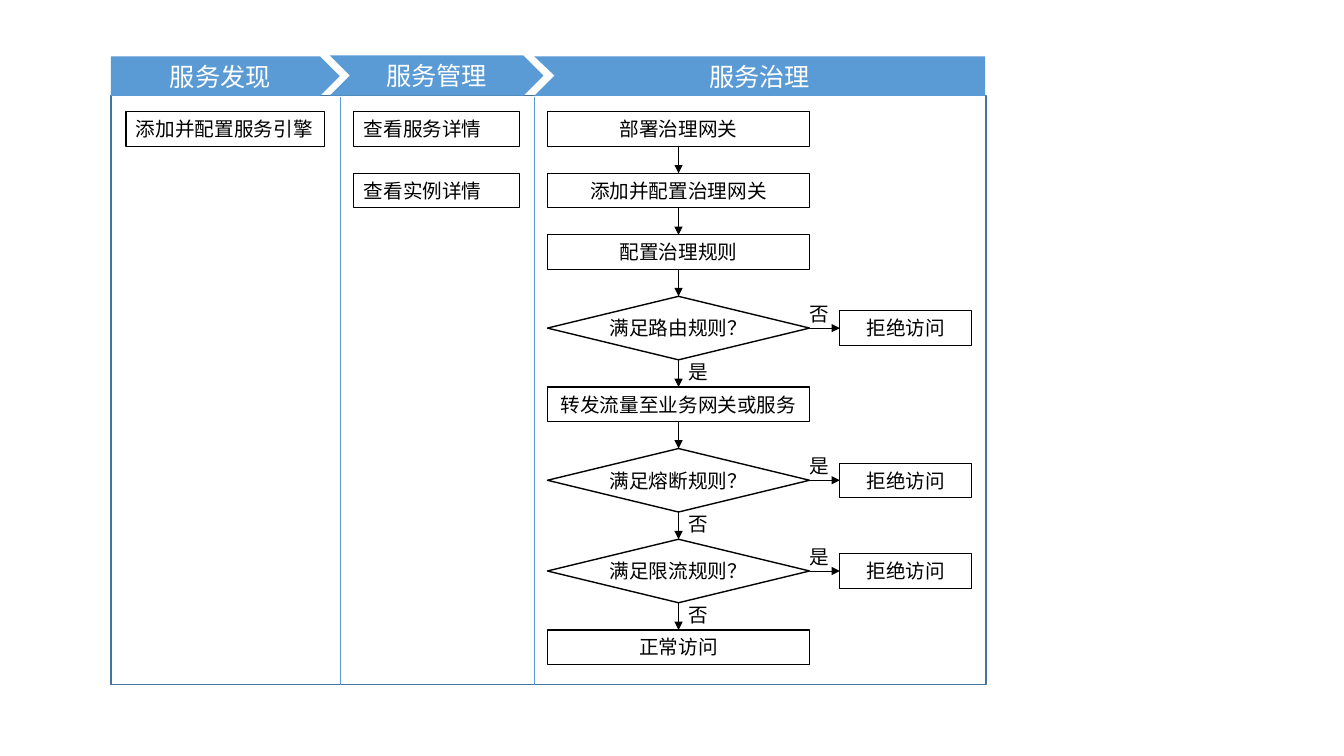
import pptx
import pptx.util
import pptx.dml.color
import pptx.enum.shapes
import pptx.enum.text
import pptx.oxml
import pptx.oxml.ns

Inches = pptx.util.Inches
Pt = pptx.util.Pt
KIND = pptx.enum.shapes.MSO_SHAPE
ALIGN = pptx.enum.text.PP_ALIGN
MIDDLE = pptx.enum.text.MSO_ANCHOR.MIDDLE

COLORS = {"head": "5B9BD5", "frame": "43739E", "ink": "000000", "white": "FFFFFF"}
FLOW_X, FLOW_W = 5.43, 2.6
BOX_H, ASK_H, GAP = 0.34, 0.63, 0.27
DENY_X, DENY_W = 8.33, 1.31

# text, line width, label to the right, label below; labels mark a decision
STEPS = [
    ("部署治理网关", 0.75, None, None),
    ("添加并配置治理网关", 0.75, None, None),
    ("配置治理规则", 0.75, None, None),
    ("满足路由规则？", 1, "否", "是"),
    ("转发流量至业务网关或服务", 1, None, None),
    ("满足熔断规则？", 1, "是", "否"),
    ("满足限流规则？", 1, "是", "否"),
    ("正常访问", 1, None, None),
]


def color(name):
    return pptx.dml.color.RGBColor.from_string(COLORS[name])


def write(shape, text, size=14, ink="ink", align=ALIGN.CENTER, wrap=True):
    frame = shape.text_frame
    left = 0 if align == ALIGN.CENTER else 0.1
    layout = {"word_wrap": wrap, "vertical_anchor": MIDDLE,
              "margin_left": Inches(left), "margin_right": 0,
              "margin_top": 0, "margin_bottom": 0}
    for key, value in layout.items():
        setattr(frame, key, value)
    para = frame.paragraphs[0]
    para.alignment = align
    run = para.add_run()
    run.text = text
    for key, value in {"name": "Arial", "size": Pt(size)}.items():
        setattr(run.font, key, value)
    run.font.color.rgb = color(ink)


def paint(shape, fill=None, line=None, width=0.75):
    shape.shadow.inherit = False
    if fill:
        shape.fill.solid()
        shape.fill.fore_color.rgb = color(fill)
    else:
        shape.fill.background()
    if line:
        shape.line.color.rgb = color(line)
        shape.line.width = Pt(width)
    else:
        shape.line.fill.background()


def add_shape(slide, kind, *area):
    return slide.shapes.add_shape(kind, *map(Inches, area))


def add_box(slide, text, *area, kind=KIND.RECTANGLE, width=0.75, **style):
    shape = add_shape(slide, kind, *area)
    paint(shape, line="ink", width=width)
    write(shape, text, **style)
    return shape


def add_label(slide, text, x, y):
    shape = slide.shapes.add_textbox(*map(Inches, (x, y, 0.63, BOX_H)))
    write(shape, text, align=ALIGN.LEFT)


def add_line(slide, ink, *ends):
    line = slide.shapes.add_connector(
        pptx.enum.shapes.MSO_CONNECTOR.STRAIGHT, *map(Inches, ends))
    line.line.color.rgb = color(ink)
    line.line.width = Pt(0.5)
    props = line._element.spPr
    props.append(pptx.oxml.parse_xml(
        "<a:effectLst %s/>" % pptx.oxml.ns.nsdecls("a")))
    return line


def add_arrow(slide, start, out, end, into):
    """Join two shapes at the given connection sites."""
    line = add_line(slide, "ink", 0, 0, 0, 0)
    line.begin_connect(start, out)
    line.end_connect(end, into)
    line.line._get_or_add_ln().append(pptx.oxml.parse_xml(
        '<a:tailEnd type="triangle" %s/>' % pptx.oxml.ns.nsdecls("a")))


def add_heads(slide):
    first = add_shape(slide, KIND.PENTAGON, 1.1, 0.56, 2.27, 0.39)
    second = add_shape(slide, KIND.CHEVRON, 3.27, 0.55, 2.12, 0.4)
    points = [(9.77, 0.56), (9.77, 0.95), (5.3, 0.95), (5.5, 0.75)]
    path = slide.shapes.build_freeform(Inches(5.3), Inches(0.56))
    path.add_line_segments([(Inches(x), Inches(y)) for x, y in points])
    third = path.convert_to_shape()
    heads = {"服务发现": first, "服务管理": second, "服务治理": third}
    for text, shape in heads.items():
        paint(shape, fill="head")
        write(shape, text, size=18, ink="white")


def add_flow(slide):
    """Stack the steps, each joined to the one before."""
    top, last = 1.11, None
    for text, width, side, down in STEPS:
        high = ASK_H if side else BOX_H
        kind = KIND.DIAMOND if side else KIND.RECTANGLE
        step = add_box(slide, text, FLOW_X, top, FLOW_W, high,
                       kind=kind, width=width, wrap=not side)
        if last:
            add_arrow(slide, last, 2, step, 0)
        if side:
            deny = add_box(slide, "拒绝访问", DENY_X,
                           top + (ASK_H - BOX_H) / 2, DENY_W, BOX_H)
            add_arrow(slide, step, 3, deny, 1)
            add_label(slide, side, FLOW_X + FLOW_W - 0.1, top)
            add_label(slide, down, FLOW_X + FLOW_W / 2, top + high - 0.05)
        top += high + GAP
        last = step


def main():
    deck = pptx.Presentation()
    deck.slide_width, deck.slide_height = Inches(13.33), Inches(7.5)
    slide = deck.slides.add_slide(deck.slide_layouts[6])
    frame = add_shape(slide, KIND.RECTANGLE, 1.1, 0.95, 8.68, 5.84)
    paint(frame, line="frame", width=1)
    add_heads(slide)
    for x in (3.38, 5.3):
        add_line(slide, "head", x, 0.96, x, 6.8)
    add_box(slide, "添加并配置服务引擎", 1.25, 1.11, 1.97, BOX_H,
            align=ALIGN.LEFT)
    for row, text in enumerate(("查看服务详情", "查看实例详情")):
        add_box(slide, text, 3.51, 1.11 + row * (BOX_H + GAP), 1.64, BOX_H,
                align=ALIGN.LEFT)
    add_flow(slide)
    deck.save("out.pptx")


if __name__ == "__main__":
    main()
